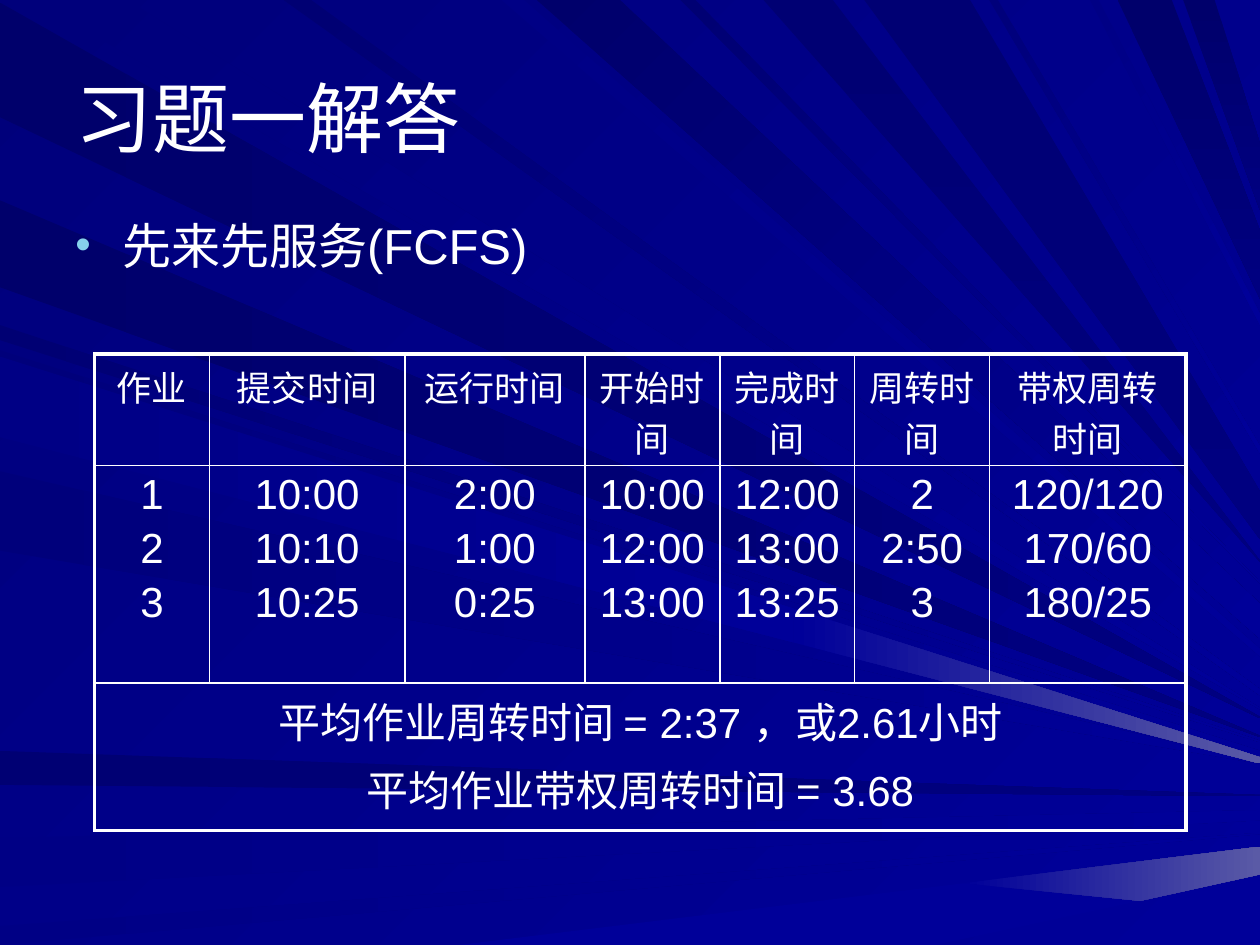
"""Build the FCFS scheduling answer slide with a ray background and a results table."""
from typing import NamedTuple

from lxml import etree
from pptx import Presentation
from pptx import util as u
from pptx.dml.color import RGBColor
from pptx.enum import text
from pptx.oxml import ns

COLOURS: dict[str, str] = {
    "deep": "00006B", "dusk": "000073", "navy": "00007B", "middle": "000080",
    "royal": "000085", "bright": "000099", "mist": "5A5AA6",
    "white": "FFFFFF", "bullet": "86D1EC",
}
FONT = "Arial"
RAY_UNIT = u.Cm(0.0254)
RIGHT, BOTTOM = 1000, 750
SPLIT = 0.63
THIN, THICK = u.Pt(1), u.Pt(2.25)

Point = tuple[float, float]


class Ray(NamedTuple):
    edge: str
    near: tuple[int, int]
    far: tuple[int, int]
    start: str
    end: str


class Column(NamedTuple):
    width: float
    heading: str
    values: tuple[str, ...]


RAYS = (
    Ray("left", (2, 93), (569, 570), "deep", "middle"),
    Ray("top", (101, 26), (562, 563), "navy", "bright"),
    Ray("left", (596, 623), (631, 632), "dusk", "middle"),
    Ray("left", (665, 704), (643, 651), "royal", "bright"),
    Ray("left", (735, 750), (661, 662), "royal", "bright"),
    Ray("bottom", (364, 742), (672, 694), "bright", "mist"),
    Ray("left", (258, 270), (588, 589), "dusk", "bright"),
    Ray("left", (159, 228), (584, 585), "deep", "middle"),
    Ray("top", (416, 398), (515, 521), "royal", "bright"),
    Ray("top", (492, 426), (479, 507), "deep", "bright"),
    Ray("top", (552, 540), (462, 463), "dusk", "bright"),
    Ray("top", (661, 606), (445, 446), "dusk", "middle"),
    Ray("top", (930, 887), (183, 237), "deep", "middle"),
    Ray("top", (964, 939), (114, 167), "deep", "middle"),
    Ray("left", (278, 342), (596, 602), "navy", "bright"),
    Ray("left", (374, 437), (605, 606), "navy", "bright"),
    Ray("top", (247, 225), (547, 552), "dusk", "bright"),
    Ray("top", (770, 686), (390, 428), "dusk", "middle"),
    Ray("top", (792, 785), (354, 360), "navy", "bright"),
    Ray("top", (872, 865), (249, 258), "royal", "bright"),
    Ray("left", (283, 347), (601, 606), "royal", "mist"),
)

COLUMNS = (
    Column(2.31, "作业", ("1", "2", "3")),
    Column(3.94, "提交时间", ("10:00", "10:10", "10:25")),
    Column(3.63, "运行时间", ("2:00", "1:00", "0:25")),
    Column(2.72, "开始时间", ("10:00", "12:00", "13:00")),
    Column(2.72, "完成时间", ("12:00", "13:00", "13:25")),
    Column(2.72, "周转时间", ("2", "2:50", "3")),
    Column(3.96, "带权周转时间", ("120/120", "170/60", "180/25")),
)
ROW_HEIGHTS = (2.24, 4.39, 2.97)
SUMMARY = ("平均作业周转时间 = 2:37 ，或2.61小时", "平均作业带权周转时间 = 3.68")


def rgb(name: str) -> RGBColor:
    return RGBColor.from_string(COLOURS[name])


def set_fill(fill, start: str, end: str, angle: int) -> None:
    fill.gradient()
    fill.gradient_angle = (360 - angle) % 360
    for stop, name in zip(fill.gradient_stops, (start, end)):
        stop.color.rgb = rgb(name)


def edge_point(edge: str, n: int) -> Point:
    return {"left": (0, n), "top": (n, 0), "bottom": (n, BOTTOM)}[edge]


def between(a: Point, b: Point, share: float) -> Point:
    return a[0] + (b[0] - a[0]) * share, a[1] + (b[1] - a[1]) * share


def draw_band(s, points: list[Point], start: str, end: str, angle: int) -> None:
    fb = s.shapes.build_freeform(*points[0], scale=RAY_UNIT)
    fb.add_line_segments(points[1:], close=True)
    sp = fb.convert_to_shape()
    sp.shadow.inherit = False
    sp.line.fill.background()
    set_fill(sp.fill, start, end, angle)


def draw_ray(s, ray: Ray) -> None:
    a, b = (edge_point(ray.edge, n) for n in ray.near)
    c, d = ((RIGHT, n) for n in ray.far)
    angle = 0 if ray.edge != "top" else 90 if ray.end == "middle" else 45
    if ray.end != "mist":
        draw_band(s, [a, c, d, b], ray.start, ray.end, angle)
        return
    m, n = between(a, c, SPLIT), between(b, d, SPLIT)
    draw_band(s, [a, m, n, b], ray.start, "bright", angle)
    draw_band(s, [m, c, d, n], "bright", ray.end, angle)


def add_run(p, words: str, size: int) -> None:
    r = p.add_run()
    r.text = words
    r.font.name, r.font.size = FONT, u.Pt(size)
    r.font.color.rgb = rgb("white")


def place_title(s, words: str) -> None:
    sp = s.shapes.title
    sp.left, sp.top, sp.width, sp.height = (u.Cm(n) for n in (1.27, 0.76, 22.86, 3.18))
    tf = sp.text_frame
    tf.word_wrap, tf.vertical_anchor = True, text.MSO_ANCHOR.MIDDLE
    p = tf.paragraphs[0]
    p.alignment = text.PP_ALIGN.LEFT
    add_run(p, words, 44)
    s.shapes.element.append(sp.element)


def add_bullet(s, words: str) -> None:
    tf = s.shapes.add_textbox(*(u.Cm(n) for n in (1.27, 4.45, 22.86, 1.27))).text_frame
    tf.word_wrap = True
    p = tf.paragraphs[0]
    p.line_spacing = 0.8
    pPr = p._p.get_or_add_pPr()
    pPr.set("marL", str(u.Cm(0.95)))
    pPr.set("indent", str(u.Cm(-0.95)))
    clr = etree.SubElement(pPr, ns.qn("a:buClr"))
    etree.SubElement(clr, ns.qn("a:srgbClr"), val=COLOURS["bullet"])
    etree.SubElement(pPr, ns.qn("a:buSzPct"), val="90000")
    etree.SubElement(pPr, ns.qn("a:buFont"), typeface=FONT)
    etree.SubElement(pPr, ns.qn("a:buChar"), char="•")
    add_run(p, words, 28)


def set_borders(cell, widths: dict[str, int]) -> None:
    tcPr = cell._tc.get_or_add_tcPr()
    for side, width in widths.items():
        ln = etree.SubElement(tcPr, ns.qn(f"a:ln{side}"), w=str(width))
        fill = etree.SubElement(ln, ns.qn("a:solidFill"))
        etree.SubElement(fill, ns.qn("a:srgbClr"), val=COLOURS["white"])


def write_cell(cell, lines: tuple[str, ...], size: int) -> None:
    tf = cell.text_frame
    for i, words in enumerate(lines):
        p = tf.add_paragraph() if i else tf.paragraphs[0]
        p.alignment = text.PP_ALIGN.CENTER
        if i:
            p.space_before = u.Pt(4)
        add_run(p, words, size)


def add_results(s) -> None:
    rows, cols = len(ROW_HEIGHTS), len(COLUMNS)
    width = sum(c.width for c in COLUMNS)
    box = (u.Cm(n) for n in (1.91, 7.14, width, sum(ROW_HEIGHTS)))
    tbl = s.shapes.add_table(rows, cols, *box).table
    tbl.first_row = tbl.horz_banding = False
    for row, height in zip(tbl.rows, ROW_HEIGHTS):
        row.height = u.Cm(height)
    for j, column in enumerate(COLUMNS):
        tbl.columns[j].width = u.Cm(column.width)
        write_cell(tbl.cell(0, j), (column.heading,), 20)
        write_cell(tbl.cell(1, j), column.values, 24)
    tbl.cell(2, 0).merge(tbl.cell(2, cols - 1))
    write_cell(tbl.cell(2, 0), SUMMARY, 24)
    for i in range(rows):
        last = cols - 1 if i < rows - 1 else 0
        for j in range(cols):
            cell = tbl.cell(i, j)
            outer = {"L": j == 0, "R": j >= last, "T": i == 0, "B": i == rows - 1}
            set_borders(cell, {k: THICK if v else THIN for k, v in outer.items()})
            cell.fill.background()


def main() -> None:
    prs = Presentation()
    prs.slide_width, prs.slide_height = u.Cm(25.4), u.Cm(19.05)
    s = prs.slides.add_slide(prs.slide_layouts[5])
    set_fill(s.background.fill, "navy", "bright", 45)
    for ray in RAYS:
        draw_ray(s, ray)
    place_title(s, "习题一解答")
    add_bullet(s, "先来先服务(FCFS)")
    add_results(s)
    prs.save("out.pptx")


if __name__ == "__main__":
    main()
